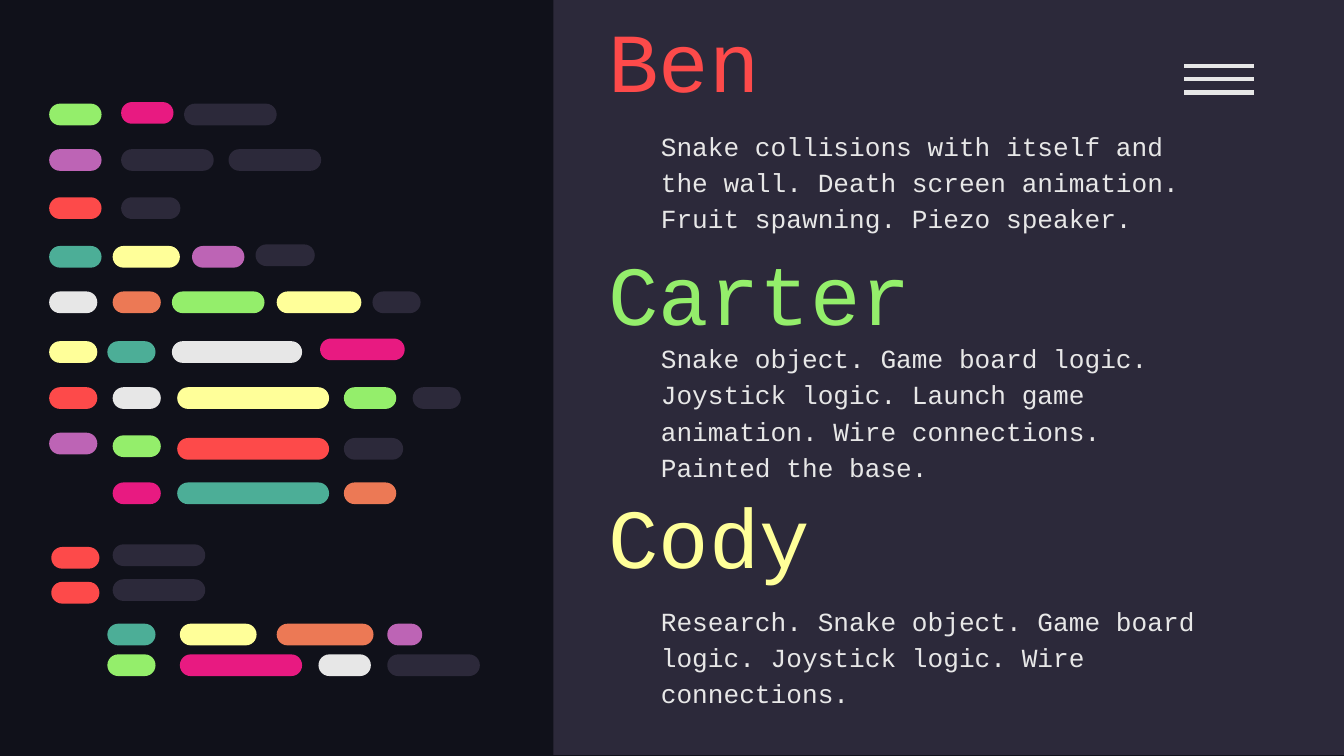
from lxml import etree
from pptx import Presentation
from pptx.dml.color import RGBColor
from pptx.enum.shapes import MSO_CONNECTOR, MSO_SHAPE
from pptx.enum.text import MSO_ANCHOR
from pptx.oxml.ns import qn
from pptx.util import Cm, Pt

RECT = MSO_SHAPE.RECTANGLE
ROUND_RECT = MSO_SHAPE.ROUNDED_RECTANGLE
STRAIGHT = MSO_CONNECTOR.STRAIGHT
MIDDLE = MSO_ANCHOR.MIDDLE

FONT = "Courier New"
COLORS = {
    "night": "10111A",
    "slate": "2C293A",
    "white": "E7E7E7",
    "red": "FD4A4A",
    "green": "94EE6B",
    "yellow": "FFFF99",
    "pink": "E81A81",
    "purple": "BD64B5",
    "teal": "4CAE97",
    "orange": "EC7955",
}

PILL_HEIGHT = 0.41
CODE_ROWS = [
    (1.96, [(0.93, 0.99, "green"), (3.48, 1.75, "slate")]),
    (1.93, [(2.29, 0.99, "pink")]),
    (2.82, [(0.93, 0.99, "purple"), (2.29, 1.75, "slate"), (4.32, 1.75, "slate")]),
    (3.73, [(0.93, 0.99, "red"), (2.29, 1.12, "slate")]),
    (4.65, [(0.93, 0.99, "teal"), (2.13, 1.27, "yellow"), (3.63, 0.99, "purple")]),
    (4.62, [(4.83, 1.12, "slate")]),
    (5.51, [(0.93, 0.91, "white"), (2.13, 0.91, "orange"), (3.25, 1.75, "green"),
            (5.23, 1.6, "yellow"), (7.04, 0.91, "slate")]),
    (6.45, [(0.93, 0.91, "yellow"), (2.03, 0.91, "teal"), (3.25, 2.46, "white")]),
    (6.4, [(6.05, 1.6, "pink")]),
    (7.32, [(0.93, 0.91, "red"), (2.13, 0.91, "white"), (3.35, 2.87, "yellow"),
            (6.5, 0.99, "green"), (7.8, 0.91, "slate")]),
    (8.18, [(0.93, 0.91, "purple")]),
    (8.23, [(2.13, 0.91, "green")]),
    (8.28, [(3.35, 2.87, "red"), (6.5, 1.12, "slate")]),
    (9.12, [(2.13, 0.91, "pink"), (3.35, 2.87, "teal"), (6.5, 0.99, "orange")]),
    (10.34, [(0.97, 0.91, "red")]),
    (10.29, [(2.13, 1.75, "slate")]),
    (11, [(0.97, 0.91, "red")]),
    (10.95, [(2.13, 1.75, "slate")]),
    (11.79, [(2.03, 0.91, "teal"), (3.4, 1.45, "yellow"), (5.23, 1.83, "orange"),
             (7.32, 0.66, "purple")]),
    (12.37, [(2.03, 0.91, "green"), (3.4, 2.31, "pink"), (6.02, 0.99, "white"),
             (7.32, 1.75, "slate")]),
]

MEMBERS = [
    ("Ben", "red", 0.05, 2.57,
     "Snake collisions with itself and the wall. Death screen animation. "
     "Fruit spawning. Piezo speaker."),
    ("Carter", "green", 4.45, 6.93,
     "Snake object. Game board logic. Joystick logic. Launch game animation. "
     "Wire connections. Painted the base."),
    ("Cody", "yellow", 9.04, 11.56,
     "Research. Snake object. Game board logic. Joystick logic. Wire connections."),
]


def rgb(name):
    return RGBColor.from_string(COLORS[name])


def add_block(shapes, kind, left, top, width, height, color):
    sp = shapes.add_shape(kind, Cm(left), Cm(top), Cm(width), Cm(height))
    sp.shadow.inherit = False
    sp.fill.solid()
    sp.fill.fore_color.rgb = rgb(color)
    sp.line.fill.background()
    return sp


def add_text(s, left, top, height, text, size, color, spacing=1.0):
    tf = s.shapes.add_textbox(Cm(left), Cm(top), Cm(11.18), Cm(height)).text_frame
    tf.word_wrap = True
    tf.vertical_anchor = MIDDLE
    tf.margin_left = tf.margin_right = tf.margin_top = tf.margin_bottom = Cm(0.25)
    p = tf.paragraphs[0]
    p.line_spacing = spacing
    r = p.add_run()
    r.text = text
    r.font.name = FONT
    r.font.size = Pt(size)
    r.font.color.rgb = rgb(color)


def add_menu_icon(s):
    icon = s.shapes.add_group_shape()
    for i in range(3):
        y = Cm(1.25 + 0.25 * i)
        line = icon.shapes.add_connector(STRAIGHT, Cm(22.38), y, Cm(23.7), y)
        line.line.color.rgb = rgb("white")
        line.line.width = Pt(2.25)
        etree.SubElement(line._element.spPr, qn("a:effectLst"))


def add_code_lines(s):
    code = s.shapes.add_group_shape()
    for top, pills in CODE_ROWS:
        for left, width, color in pills:
            sp = add_block(code.shapes, ROUND_RECT, left, top, width, PILL_HEIGHT, color)
            sp.adjustments[0] = 0.5


def main():
    prs = Presentation()
    prs.slide_width = Cm(25.4)
    prs.slide_height = Cm(14.29)
    s = prs.slides.add_slide(prs.slide_layouts[6])
    s.background.fill.solid()
    s.background.fill.fore_color.rgb = rgb("night")

    add_block(s.shapes, RECT, 10.46, 0, 14.94, 14.27, "slate")
    add_menu_icon(s)
    for name, color, name_top, tasks_top, tasks in MEMBERS:
        add_text(s, 11.25, name_top, 2.13, name, 45, color)
        add_text(s, 12.24, tasks_top, 1.65, tasks, 14, "white", 1.15)
    add_code_lines(s)
    prs.save("out.pptx")


if __name__ == "__main__":
    main()
